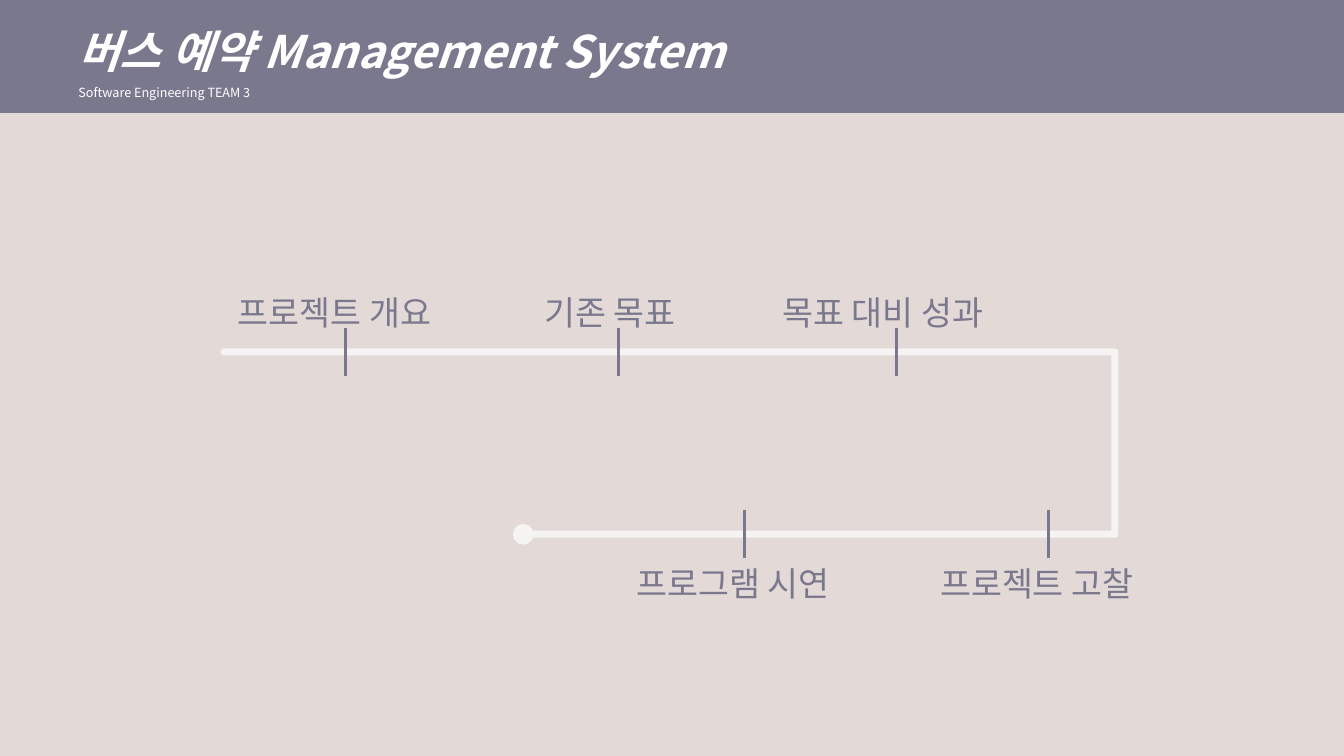
from lxml.etree import SubElement
from pptx import Presentation
from pptx.dml.color import RGBColor
from pptx.enum.shapes import MSO_CONNECTOR
from pptx.enum.text import MSO_AUTO_SIZE
from pptx.oxml.ns import qn
from pptx.util import Inches, Pt

FONT = "Noto Sans CJK KR"
PURPLE, BEIGE, WHITE = "7A788D", "E3D9D7", "FFFFFF"
WIDTH, HEIGHT = 13.33, 7.5
TICK_HEIGHT, LABEL_HEIGHT = 0.48, 0.5


def color(value):
    return RGBColor.from_string(value)


def add_text_frame(slide, box, wrap):
    frame = slide.shapes.add_textbox(*map(Inches, box)).text_frame
    frame.word_wrap = wrap
    frame.auto_size = MSO_AUTO_SIZE.SHAPE_TO_FIT_TEXT
    return frame


def add_run(paragraph, text, size, fill, emphasis=False):
    run = paragraph.add_run()
    run.text = text
    font = run.font
    font.size, font.name = Pt(size), FONT
    font.bold = font.italic = emphasis
    font.color.rgb = color(fill)
    SubElement(font._element, qn("a:ea"), typeface=FONT)


def add_line(slide, kind, start, end, fill, width):
    connector = slide.shapes.add_connector(kind, *map(Inches, (*start, *end)))
    connector.line.color.rgb = color(fill)
    connector.line.width = Pt(width)
    SubElement(connector._element.spPr, qn("a:effectLst"))
    return connector


def paint_background(slide, band_share):
    fill = slide.background.fill
    fill.gradient()
    fill.gradient_angle = 270
    for stop, value in zip(fill.gradient_stops, (PURPLE, BEIGE)):
        stop.color.rgb = color(value)
        stop.position = band_share


def add_header(slide, box):
    frame = add_text_frame(slide, box, True)
    title, team = frame.paragraphs[0], frame.add_paragraph()
    title.line_spacing = team.line_spacing = 1.5
    add_run(title, "버스 예약 Management System", 32, WHITE, True)
    add_run(team, "Software Engineering TEAM 3", 9, WHITE)


def add_route(slide, box, end_x):
    left, top, width, height = box
    route = add_line(slide, MSO_CONNECTOR.ELBOW, (left, top),
                     (end_x, top + height), WHITE, 5)
    turn = round(100000 * width / (end_x - left))
    guides = route._element.spPr.find(qn("a:prstGeom")).get_or_add_avLst()
    SubElement(guides, qn("a:gd"), name="adj1", fmla=f"val {turn}")
    line = route.line._get_or_add_ln()
    line.set("cap", "rnd")
    SubElement(line.find(qn("a:solidFill"))[0], qn("a:alpha"), val="70000")
    SubElement(line, qn("a:round"))
    SubElement(line, qn("a:tailEnd"), type="oval")


def add_stop(slide, center_x, line_y, label, label_width, label_top):
    add_line(slide, MSO_CONNECTOR.STRAIGHT, (center_x, line_y - TICK_HEIGHT / 2),
             (center_x, line_y + TICK_HEIGHT / 2), PURPLE, 2)
    box = (center_x - label_width / 2, label_top, label_width, LABEL_HEIGHT)
    frame = add_text_frame(slide, box, False)
    add_run(frame.paragraphs[0], label, 24, PURPLE)


def add_roadmap(slide, box):
    left, top, width, height = box
    bottom = top + height
    add_route(slide, box, left + width * 0.336)
    upper_stops = [(0.137, "프로젝트 개요", 2.34), (0.443, "기존 목표", 1.67),
                   (0.755, "목표 대비 성과", 2.46)]
    lower_stops = [(0.584, "프로그램 시연", 2.34), (0.925, "프로젝트 고찰", 2.34)]
    rows = [(top, top - 0.64, upper_stops),
            (bottom, bottom + TICK_HEIGHT / 2, lower_stops)]
    for line_y, label_top, stops in rows:
        for share, label, label_width in stops:
            add_stop(slide, left + width * share, line_y, label, label_width, label_top)


def main():
    presentation = Presentation()
    presentation.slide_width = Inches(WIDTH)
    presentation.slide_height = Inches(HEIGHT)
    slide = presentation.slides.add_slide(presentation.slide_layouts[6])
    paint_background(slide, 0.15)
    add_header(slide, (0.68, -0.08, 6.9, 1.11))
    add_roadmap(slide, (2.22, 3.49, 8.84, 1.81))
    presentation.save("out.pptx")


if __name__ == "__main__":
    main()
